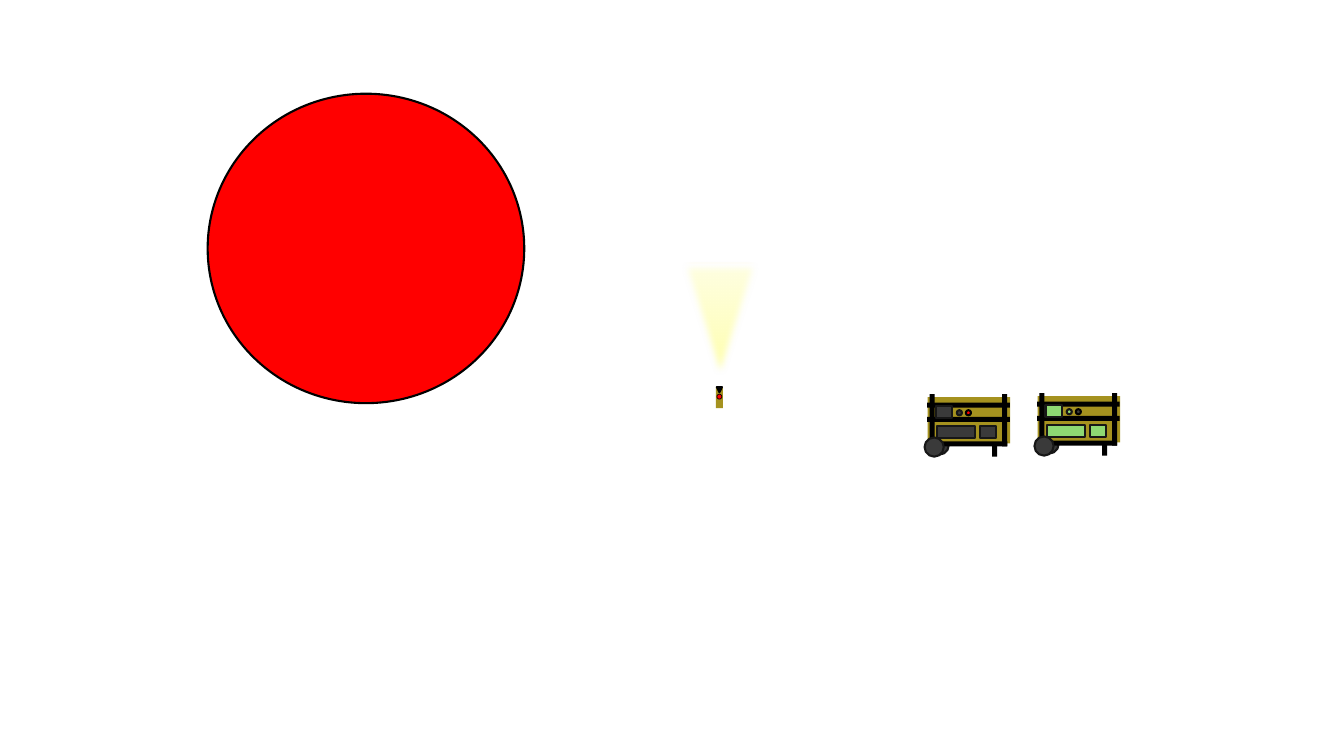
from dataclasses import dataclass
from typing import Optional

import pptx
import pptx.dml.color
import pptx.enum.shapes
import pptx.oxml
import pptx.oxml.ns
import pptx.util

Inches = pptx.util.Inches
MSO = pptx.enum.shapes.MSO_SHAPE


@dataclass(frozen=True)
class Theme:
    black: str = "000000"
    red: str = "FF0000"
    body: str = "A5921F"
    dark: str = "3A3A3A"
    edge: str = "171717"
    lit: str = "8ED973"
    beam_edge: str = "FFC000"
    beam: tuple[str, ...] = ("FFFFA0", "FFFFC5", "FFFFE3")
    line: float = 1.5
    thin_line: float = 0.5


THEME = Theme()


@dataclass(frozen=True)
class Part:
    kind: MSO
    left: float
    top: float
    width: float
    height: float
    fill: str
    line: Optional[str] = None
    line_width: float = THEME.line
    rotation: float = 0


@dataclass(frozen=True)
class Generator:
    left: float
    top: float
    panel: str
    left_lamp: str
    right_lamp: str


def rgb(value: str) -> pptx.dml.color.RGBColor:
    return pptx.dml.color.RGBColor.from_string(value)


def draw(s: pptx.slide.Slide, part: Part, left: float = 0, top: float = 0) -> pptx.shapes.autoshape.Shape:
    """Draw a part, shifted by left and top."""
    sp = s.shapes.add_shape(part.kind, Inches(left + part.left), Inches(top + part.top),
                            Inches(part.width), Inches(part.height))
    sp.shadow.inherit = False
    sp.rotation = part.rotation
    sp.fill.solid()
    sp.fill.fore_color.rgb = rgb(part.fill)
    if part.line:
        sp.line.color.rgb = rgb(part.line)
        sp.line.width = pptx.util.Pt(part.line_width)
    else:
        sp.line.fill.background()
    return sp


def draw_beam(s: pptx.slide.Slide) -> None:
    """Draw the light cone with a three-stop gradient and soft edges."""
    sp = draw(s, Part(MSO.ISOSCELES_TRIANGLE, 6.73, 2.6, 0.82, 1.31,
                      THEME.beam[0], THEME.beam_edge, rotation=180))
    props = sp.fill._xPr
    ns = pptx.oxml.ns.nsdecls("a")
    stops = "".join(f'<a:gs pos="{i * 50000}"><a:srgbClr val="{color}"/></a:gs>'
                    for i, color in enumerate(THEME.beam))
    gradient = pptx.oxml.parse_xml(
        f'<a:gradFill {ns} rotWithShape="1"><a:gsLst>{stops}</a:gsLst>'
        '<a:lin ang="5400000" scaled="0"/></a:gradFill>')
    props.replace(props.find(pptx.oxml.ns.qn("a:solidFill")), gradient)
    effects = props.find(pptx.oxml.ns.qn("a:effectLst"))
    effects.append(pptx.oxml.parse_xml(f'<a:softEdge {ns} rad="63500"/>'))


def wheel(left: float, top: float) -> Part:
    return Part(MSO.OVAL, left, top, 0.19, 0.19, THEME.dark, THEME.edge)


def post(left: float, top: float, height: float) -> Part:
    return Part(MSO.RECTANGLE, left, top, 0.05, height, THEME.black)


def rail(top: float, length: float) -> Part:
    return Part(MSO.RECTANGLE, 0.41, top, 0.05, length, THEME.black, rotation=90)


def panel(left: float, top: float, width: float, fill: str) -> Part:
    return Part(MSO.RECTANGLE, left, top, width, 0.12, fill, THEME.edge)


def lamp(left: float, fill: str, line: str) -> Part:
    return Part(MSO.OVAL, left, 0.16, 0.05, 0.05, fill, line)


def draw_generator(s: pptx.slide.Slide, gen: Generator) -> None:
    parts = [
        wheel(0.05, 0.41),
        Part(MSO.RECTANGLE, 0.03, 0.03, 0.82, 0.46, THEME.body),
        post(0.05, 0, 0.52),
        post(0.77, 0, 0.52),
        rail(-0.3, 0.82),
        rail(-0.16, 0.82),
        rail(0.11, 0.77),
        post(0.67, 0.48, 0.14),
        panel(0.55, 0.32, 0.16, gen.panel),
        panel(0.11, 0.12, 0.16, gen.panel),
        lamp(0.32, gen.left_lamp, THEME.edge),
        lamp(0.41, gen.right_lamp, THEME.black),
        panel(0.12, 0.32, 0.38, gen.panel),
        wheel(0, 0.43),
    ]
    for part in parts:
        draw(s, part, gen.left, gen.top)


FLASHLIGHT = (
    Part(MSO.RECTANGLE, 7.1, 3.84, 0.07, 0.21, THEME.body),
    Part(MSO.ISOSCELES_TRIANGLE, 7.11, 3.84, 0.05, 0.05, THEME.black, THEME.black, rotation=180),
    Part(MSO.OVAL, 7.11, 3.91, 0.05, 0.05, THEME.red, THEME.black, THEME.thin_line),
)
RED_DISC = Part(MSO.OVAL, 2.06, 0.93, 3.14, 3.07, THEME.red, THEME.black)
GENERATOR_OFF = Generator(9.17, 3.91, THEME.dark, THEME.dark, THEME.red)
GENERATOR_ON = Generator(10.26, 3.9, THEME.lit, THEME.lit, THEME.dark)


def main() -> None:
    prs = pptx.Presentation()
    prs.slide_width, prs.slide_height = Inches(13.33), Inches(7.5)
    s = prs.slides.add_slide(prs.slide_layouts[6])
    draw_beam(s)
    draw_generator(s, GENERATOR_OFF)
    for part in FLASHLIGHT:
        draw(s, part)
    draw(s, RED_DISC)
    draw_generator(s, GENERATOR_ON)
    prs.save("out.pptx")


if __name__ == "__main__":
    main()
